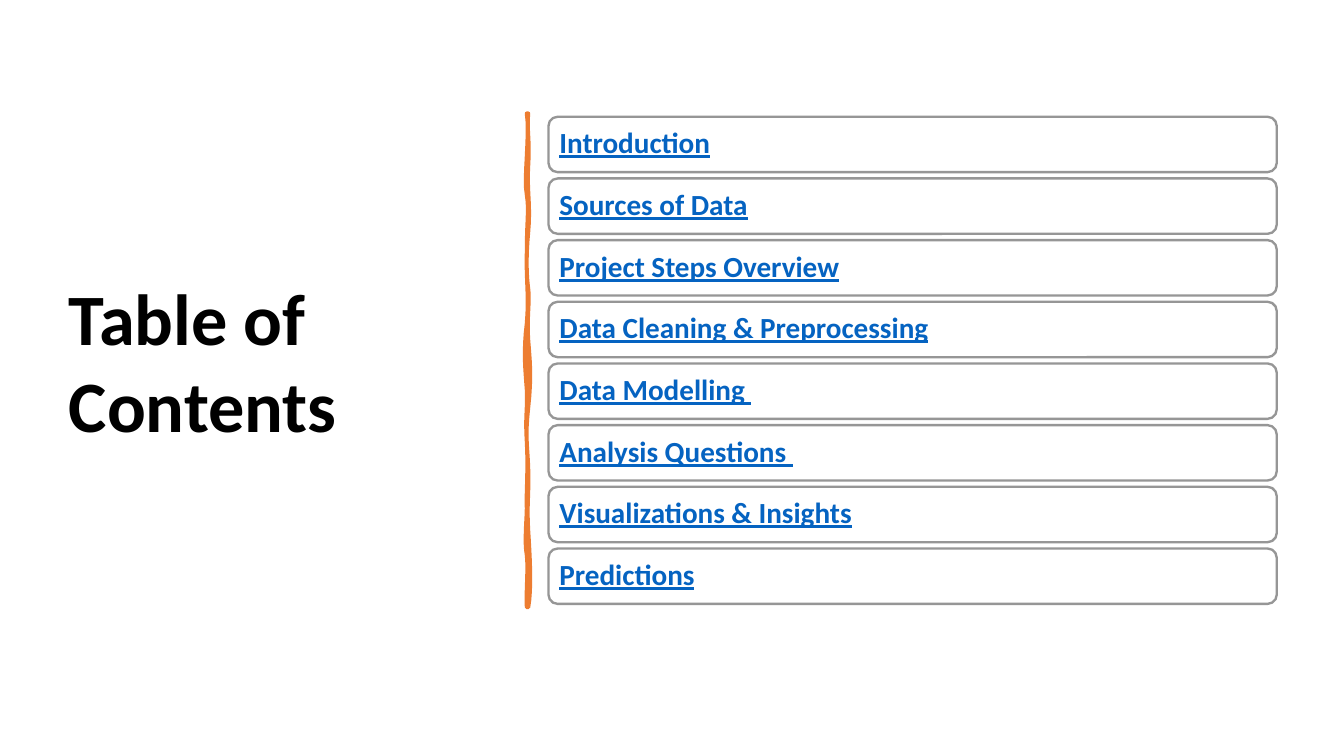
import pptx
import pptx.util
import pptx.dml.color
import pptx.enum.shapes
import pptx.enum.text
import lxml.etree

Inches = pptx.util.Inches
HUES = {"ink": "000000", "link": "0563C1", "edge": "969696",
        "bar": "ED7D31", "paper": "FFFFFF"}
TOPICS = ["Introduction", "Sources of Data", "Project Steps Overview",
          "Data Cleaning & Preprocessing", "Data Modelling ",
          "Analysis Questions ", "Visualizations & Insights", "Predictions"]
TOP, LAST = 1.39, 6.53
PITCH = (LAST - TOP) / (len(TOPICS) - 1)

# Each curve: two control points (x, y), then the y where it ends.
RIGHT = [(6.27, 1.53, 6.31, 1.67, 1.97), (6.27, 2.26, 6.32, 2.44, 2.76),
         (6.26, 3.08, 6.27, 3.29, 3.44), (6.31, 3.58, 6.27, 3.8, 4.05),
         (6.31, 4.31, 6.33, 4.48, 4.85), (6.25, 5.22, 6.28, 5.28, 5.58),
         (6.3, 5.89, 6.27, 6, 6.32), (6.31, 6.63, 6.33, 7.02, 7.23)]
LEFT = [(6.26, 7.03, 6.29, 6.77, 6.61), (6.24, 6.45, 6.27, 6.18, 6.05),
        (6.26, 5.93, 6.29, 5.58, 5.26), (6.25, 4.94, 6.28, 4.91, 4.64),
        (6.25, 4.37, 6.23, 4.18, 3.85), (6.3, 3.51, 6.26, 3.37, 2.99),
        (6.27, 2.62, 6.3, 2.5, 2.32), (6.23, 2.13, 6.31, 1.6, 1.35)]


def color(name):
    return pptx.dml.color.RGBColor.from_string(HUES[name])


def write(shape, text, size, hue):
    frame = shape.text_frame
    frame.word_wrap = True
    frame.vertical_anchor = pptx.enum.text.MSO_ANCHOR.MIDDLE
    para = frame.paragraphs[0]
    para.alignment = pptx.enum.text.PP_ALIGN.LEFT
    run = para.add_run()
    run.text = text
    run.font.name = "Calibri"
    run.font.size = pptx.util.Pt(size)
    run.font.bold = True
    run.font.color.rgb = color(hue)
    return para, run


deck = pptx.Presentation()
deck.slide_width, deck.slide_height = Inches(16), Inches(9)
slide = deck.slides.add_slide(deck.slide_layouts[6])
shapes = slide.shapes

# Hand-drawn bar
points = []
for x, start, side in ((6.29, 1.35, RIGHT), (6.27, 7.23, LEFT)):
    points.append((Inches(x), Inches(start)))
    for ax, ay, bx, by, end in side:
        for step in range(1, 9):
            t = step / 8
            u = 1 - t
            px = u**3 * x + 3 * u * u * t * ax + 3 * u * t * t * bx + t**3 * x
            py = u**3 * start + 3 * u * u * t * ay + 3 * u * t * t * by + t**3 * end
            points.append((Inches(px), Inches(py)))
        start = end
pen = shapes.build_freeform(*points[0])
pen.add_line_segments(points[1:], close=True)
bar = pen.convert_to_shape()
bar.shadow.inherit = False
bar.fill.solid()
bar.fill.fore_color.rgb = color("bar")
bar.line.color.rgb = color("bar")
bar.line.width = pptx.util.Pt(3.25)
lxml.etree.SubElement(bar.line._get_or_add_ln(), pptx.oxml.ns.qn("a:round"))

# Title
title = shapes.add_textbox(Inches(0.72), Inches(1.35), Inches(5.31), Inches(5.88))
write(title, "Table of Contents", 62, "ink")

# Topic boxes
for row, topic in enumerate(TOPICS):
    box = shapes.add_shape(pptx.enum.shapes.MSO_SHAPE.ROUNDED_RECTANGLE,
                           Inches(6.53), Inches(TOP + row * PITCH),
                           Inches(8.67), Inches(0.66))
    box.shadow.inherit = False
    box.fill.solid()
    box.fill.fore_color.rgb = color("paper")
    box.line.color.rgb = color("edge")
    box.line.width = pptx.util.Pt(2)
    frame = box.text_frame
    frame.margin_left = frame.margin_right = Inches(0.1)
    frame.margin_top = frame.margin_bottom = Inches(0.1)
    para, run = write(box, topic, 25, "link")
    para.line_spacing = 0.9
    run.font.underline = True

deck.save("out.pptx")
